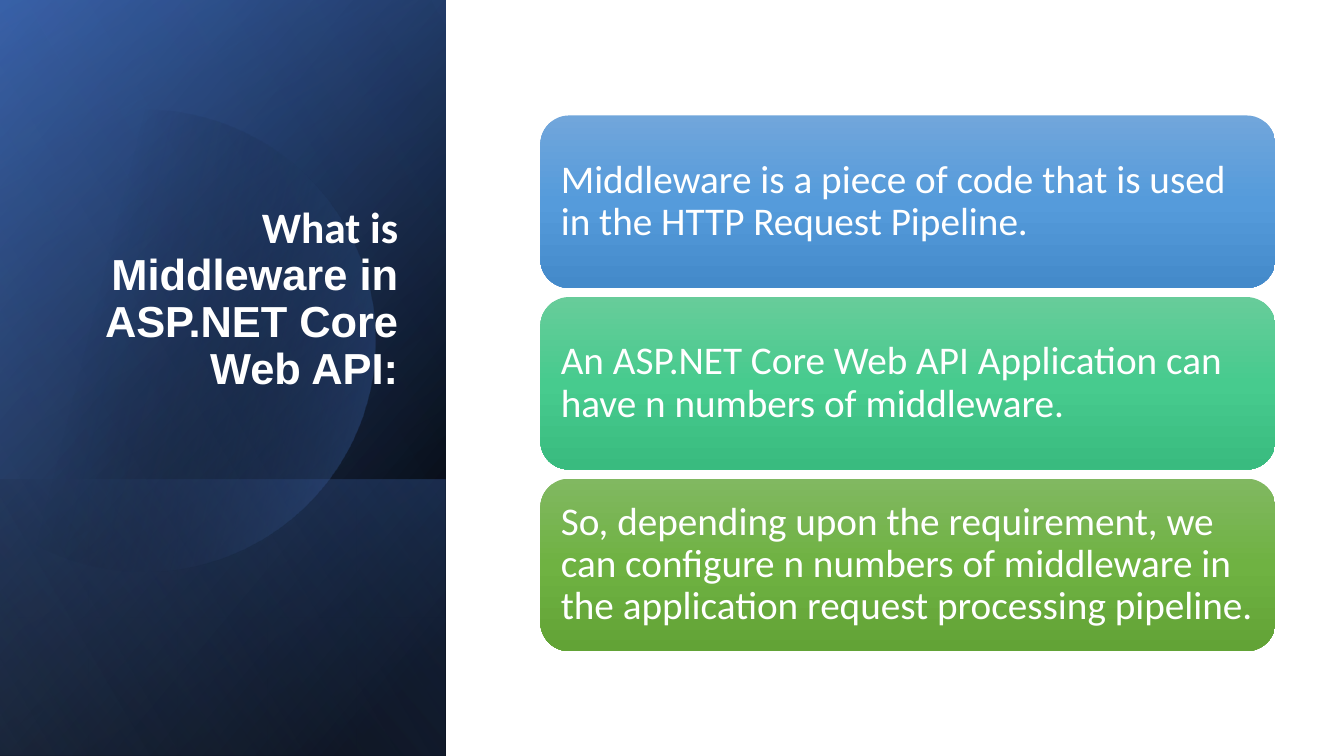
"""Build the slide that explains middleware in three cards."""
from math import cos, radians, sin

from pptx import Presentation
from pptx.dml.color import RGBColor
from pptx.enum.shapes import MSO_SHAPE
from pptx.enum.text import MSO_ANCHOR, MSO_AUTO_SIZE, PP_ALIGN
from pptx.oxml import parse_xml
from pptx.oxml.ns import nsdecls, qn
from pptx.util import Pt

RECT = MSO_SHAPE.RECTANGLE
ROUND = MSO_SHAPE.ROUNDED_RECTANGLE
MIDDLE = MSO_ANCHOR.MIDDLE
BOTTOM = MSO_ANCHOR.BOTTOM
LEFT = PP_ALIGN.LEFT
RIGHT = PP_ALIGN.RIGHT
FIXED = MSO_AUTO_SIZE.NONE

WHITE = RGBColor(0xFF, 0xFF, 0xFF)
BLACK = RGBColor(0x00, 0x00, 0x00)
NAVY = RGBColor(0x2F, 0x55, 0x97)
BLUE = RGBColor(0x44, 0x72, 0xC4)
PALE = RGBColor(0x8F, 0xAA, 0xDC)
SKY = [RGBColor(0x71, 0xA6, 0xDB), RGBColor(0x55, 0x9B, 0xDB), RGBColor(0x44, 0x8A, 0xCA)]
MINT = [RGBColor(0x67, 0xCC, 0x9A), RGBColor(0x47, 0xCB, 0x8E), RGBColor(0x39, 0xBB, 0x7F)]
LEAF = [RGBColor(0x81, 0xB8, 0x61), RGBColor(0x6F, 0xB2, 0x42), RGBColor(0x62, 0xA3, 0x36)]


def paint(shape, stops, angle):
    shape.shadow.inherit = False
    shape.line.fill.background()
    shape.fill.gradient()
    marks = "".join(
        f'<a:gs pos="{pos * 1000}"><a:srgbClr val="{color}">'
        f'<a:alpha val="{alpha * 1000}"/></a:srgbClr></a:gs>'
        for pos, color, alpha in stops)
    grad = parse_xml(
        f'<a:gradFill {nsdecls("a")} rotWithShape="1"><a:gsLst>{marks}</a:gsLst>'
        f'<a:lin ang="{angle * 60000}" scaled="0"/></a:gradFill>')
    props = shape._element.spPr
    props.replace(props.find(qn("a:gradFill")), grad)


def style(run, font, size, bold):
    run.font.name = font
    run.font.size = Pt(size)
    run.font.bold = bold
    run.font.color.rgb = WHITE


deck = Presentation()
deck.slide_width = Pt(960)
deck.slide_height = Pt(540)
slide = deck.slides.add_slide(deck.slide_layouts[5])
shapes = slide.shapes

side = 318.5
mid_x, mid_y, radius = 103, 243.4, 164.9
panels = [
    (540, [(8, BLACK, 100), (100, NAVY, 100)], 50),
    (540, [(0, BLACK, 0), (99, BLUE, 46)], 30),
    (197.3, [(2, BLUE, 29), (100, BLACK, 30)], 130),
    (None, [(29, BLACK, 0), (100, BLUE, 43)], 14),
    (540, [(0, BLACK, 0), (99, PALE, 11)], 120),
]
for length, stops, angle in panels:
    if length:
        panel = shapes.add_shape(
            RECT, Pt((side - length) / 2), Pt(540 - (length + side) / 2),
            Pt(length), Pt(side))
        panel.rotation = 90
        panel._element.spPr.xfrm.set("flipH", "1")
    else:
        arc = [(Pt(mid_x + radius * cos(radians(turn))),
                Pt(mid_y + radius * sin(radians(turn))))
               for turn in range(-128, 129, 2)]
        pen = shapes.build_freeform(*arc[0])
        pen.add_line_segments(arc[1:], close=True)
        panel = pen.convert_to_shape()
    paint(panel, stops, angle)

title = shapes.title
title.left, title.top, title.width, title.height = Pt(46), Pt(132.5), Pt(245.5), Pt(152.5)
shapes._spTree.append(title._element)
frame = title.text_frame
frame.word_wrap = True
frame.auto_size = FIXED
frame.vertical_anchor = BOTTOM
head = frame.paragraphs[0]
head.alignment = RIGHT
head.line_spacing = 0.9
for words, font in [("What is ", "Calibri"),
                    ("Middleware in ASP.NET Core Web API:", "Arial")]:
    run = head.add_run()
    run.text = words
    style(run, font, 31, True)

cards = [
    ("Middleware is a piece of code that is used in the HTTP Request Pipeline.", SKY),
    ("An ASP.NET Core Web API Application can have n numbers of middleware.", MINT),
    ("So, depending upon the requirement, we can configure n numbers of middleware "
     "in the application request processing pipeline.", LEAF),
]
for row, (words, colors) in enumerate(cards):
    card = shapes.add_shape(ROUND, Pt(386), Pt(82.5 + 129.7 * row), Pt(525), Pt(123.2))
    paint(card, [(50 * step, color, 100) for step, color in enumerate(colors)], 90)
    frame = card.text_frame
    frame.text = words
    frame.word_wrap = True
    frame.vertical_anchor = MIDDLE
    frame.margin_left = frame.margin_top = frame.margin_bottom = Pt(8.6)
    frame.margin_right = Pt(6)
    line = frame.paragraphs[0]
    line.alignment = LEFT
    line.line_spacing = 0.9
    style(line.runs[0], "Calibri", 28, False)

deck.save("out.pptx")
